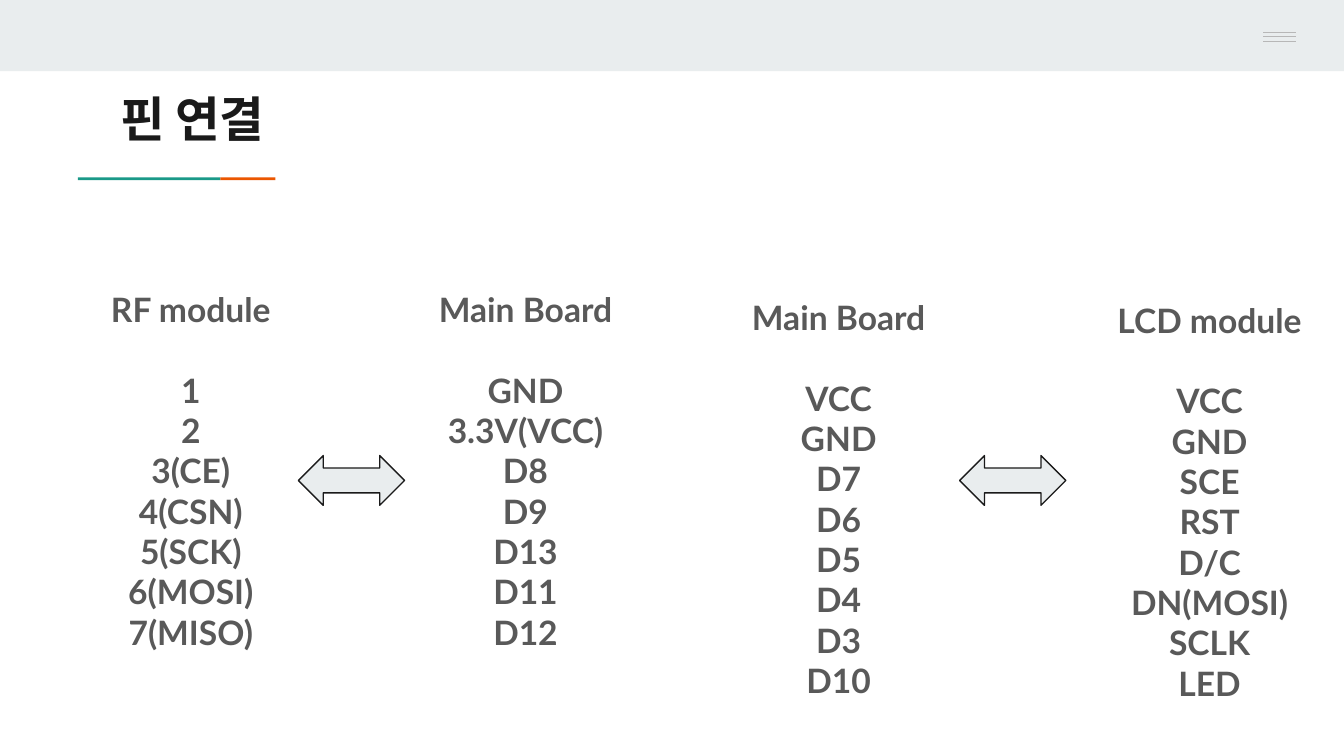
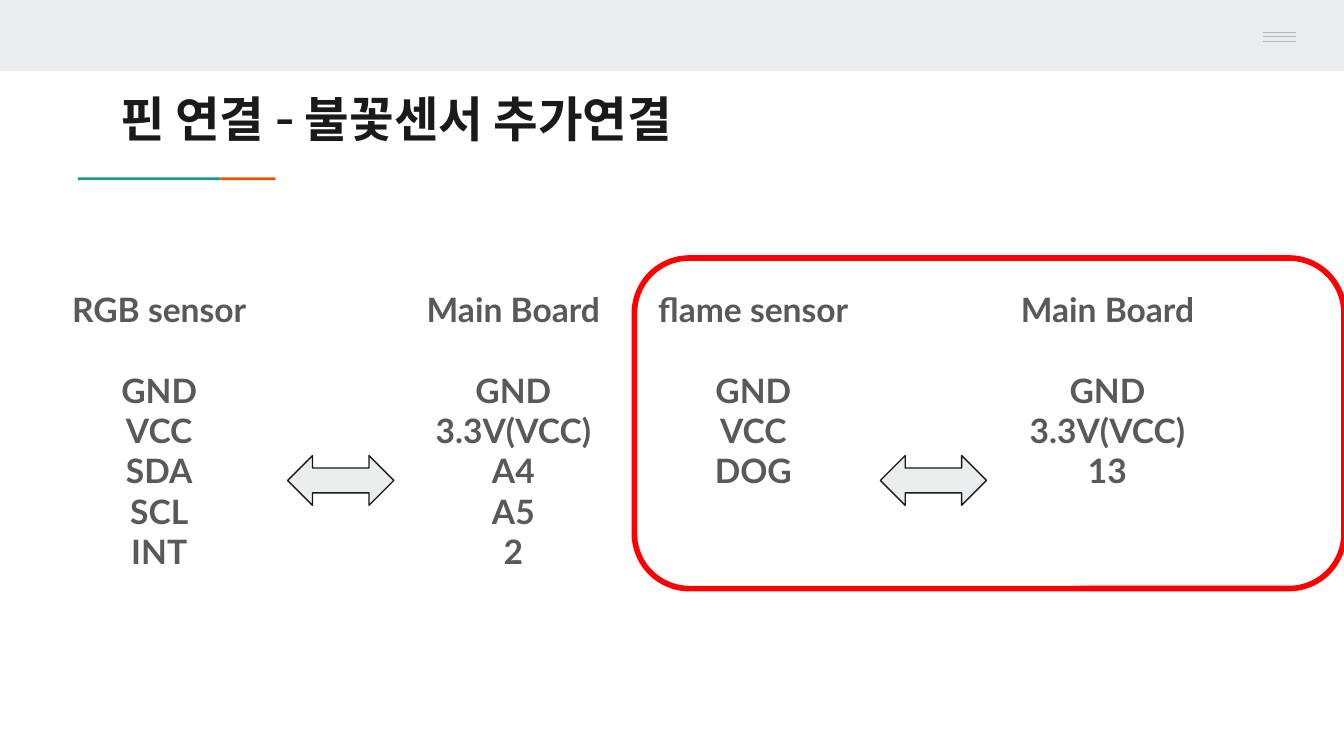
from lxml import etree
from pptx import Presentation
from pptx import util as u
from pptx.dml.color import RGBColor
from pptx.enum import shapes, text
from pptx.oxml import ns

COLORS = {
    "band": "E9EDEE",
    "green": "1A9988",
    "orange": "EB5600",
    "menu": "B7B7B7",
    "title": "1A1A1A",
    "body": "595959",
    "highlight": "FF0000",
}
BOARD = "Main Board"


class Deck:
    def __init__(self):
        self.presentation = Presentation()
        self.presentation.slide_width = u.Inches(10)
        self.presentation.slide_height = u.Inches(10 * 9 / 16)
        self.slide = None

    def color(self, name):
        return RGBColor.from_string(COLORS[name])

    def shape(self, kind, left, top, width, height, fill=None, line=None, weight=0.75):
        shape = self.slide.shapes.add_shape(
            kind, u.Inches(left), u.Inches(top), u.Inches(width), u.Inches(height))
        shape.shadow.inherit = False
        if fill:
            shape.fill.solid()
            shape.fill.fore_color.rgb = self.color(fill)
        else:
            shape.fill.background()
        if line:
            shape.line.color.rgb = self.color(line)
            shape.line.width = u.Pt(weight)
        else:
            shape.line.fill.background()

    def bar(self, left, top, width, height, fill):
        self.shape(shapes.MSO_SHAPE.RECTANGLE, left, top, width, height, fill)

    def rule(self, left, top, width):
        connector = self.slide.shapes.add_connector(
            shapes.MSO_CONNECTOR.STRAIGHT,
            u.Inches(left), u.Inches(top), u.Inches(left + width), u.Inches(top))
        connector.line.color.rgb = self.color("menu")
        connector.line.width = u.Pt(0.75)
        etree.SubElement(connector.element.spPr, ns.qn("a:effectLst"))

    def text_box(self, left, top, width, height):
        box = self.slide.shapes.add_textbox(
            u.Inches(left), u.Inches(top), u.Inches(width), u.Inches(height))
        frame = box.text_frame
        frame.word_wrap = True
        frame.vertical_anchor = text.MSO_ANCHOR.TOP
        frame.margin_left = frame.margin_right = u.Inches(0.1)
        frame.margin_top = frame.margin_bottom = u.Inches(0.1)
        return frame

    def run(self, paragraph, words, font, size, color):
        run = paragraph.add_run()
        run.text = words
        run.font.size = u.Pt(size)
        run.font.bold = True
        run.font.color.rgb = self.color(color)
        run.font.name = font
        properties = run.font.element if hasattr(run.font, "element") else run._r.get_or_add_rPr()
        for tag in ("a:ea", "a:cs"):
            etree.SubElement(properties, ns.qn(tag), typeface=font)

    def add_slide(self, title):
        self.slide = self.presentation.slides.add_slide(self.presentation.slide_layouts[6])
        self.bar(0, 0, 10, 0.53, "band")
        self.bar(0.58, 1.32, 1.06, 0.02, "green")
        self.bar(1.64, 1.32, 0.41, 0.02, "orange")
        for top in (0.24, 0.27, 0.31):
            self.rule(9.4, top, 0.24)
        frame = self.text_box(0.8, 0.56, 8.41, 0.59)
        self.run(frame.paragraphs[0], title, "Manrope", 26, "title")

    def pin_list(self, left, top, width, height, heading, pins):
        frame = self.text_box(left, top, width, height)
        for index, words in enumerate([heading, *pins]):
            paragraph = frame.add_paragraph() if index else frame.paragraphs[0]
            paragraph.alignment = text.PP_ALIGN.CENTER
            if index == 1:
                paragraph.space_before = u.Pt(21.6)
            self.run(paragraph, words, "Lato", 18, "body")

    def link_arrow(self, left):
        self.shape(shapes.MSO_SHAPE.LEFT_RIGHT_ARROW, left, 3.39, 0.79, 0.37, "band", "title")

    def highlight(self, left, top, width, height):
        self.shape(shapes.MSO_SHAPE.ROUNDED_RECTANGLE, left, top, width, height,
                   line="highlight", weight=3)


def main():
    deck = Deck()

    deck.add_slide("핀 연결")
    deck.pin_list(0.69, 2.05, 1.46, 3.1, "RF module",
                  ["1", "2", "3(CE)", "4(CSN)", "5(SCK)", "6(MOSI)", "7(MISO)"])
    deck.pin_list(2.9, 2.05, 2.02, 2.93, BOARD,
                  ["GND", "3.3V(VCC)", "D8", "D9", "D13", "D11", "D12"])
    deck.link_arrow(2.22)
    deck.link_arrow(7.14)
    deck.pin_list(5.23, 2.11, 2.02, 3.25, BOARD,
                  ["VCC", "GND", "D7", "D6", "D5", "D4", "D3", "D10"])
    deck.pin_list(7.99, 2.13, 2.02, 3.23, "LCD module",
                  ["VCC", "GND", "SCE", "RST", "D/C", "DN(MOSI)", "SCLK", "LED"])

    deck.add_slide("핀 연결 - 불꽃센서 추가연결")
    deck.pin_list(0.3, 2.05, 1.77, 2.7, "RGB sensor", ["GND", "VCC", "SDA", "SCL", "INT"])
    deck.pin_list(2.81, 2.05, 2.02, 2.93, BOARD, ["GND", "3.3V(VCC)", "A4", "A5", "2"])
    deck.link_arrow(2.14)
    deck.pin_list(4.72, 2.05, 1.77, 2.7, "flame sensor", ["GND", "VCC", "DOG"])
    deck.pin_list(7.23, 2.05, 2.02, 2.93, BOARD, ["GND", "3.3V(VCC)", "13"])
    deck.link_arrow(6.55)
    deck.highlight(4.72, 1.92, 5.28, 2.46)

    deck.presentation.save("out.pptx")


if __name__ == "__main__":
    main()
